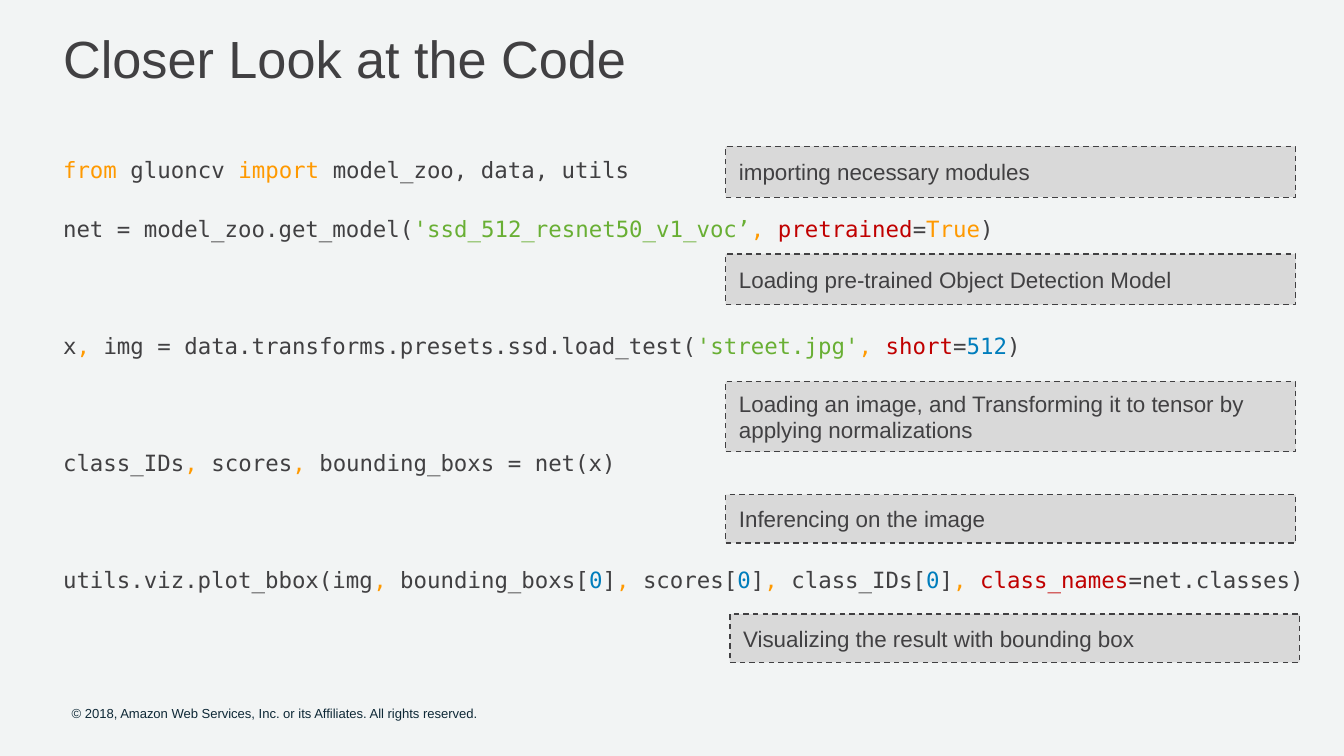
from typing import NamedTuple

from lxml import etree
from pptx import Presentation
from pptx.dml.color import RGBColor
from pptx.enum import dml, shapes, text
from pptx.oxml import ns
from pptx.util import Pt

BACKGROUND = RGBColor(0xF2, 0xF4, 0xF4)
INK = RGBColor(0x41, 0x40, 0x42)
FOOTER_INK = RGBColor(0x0E, 0x28, 0x36)
NOTE_FILL = RGBColor(0xD9, 0xD9, 0xD9)
ORANGE = RGBColor(0xFF, 0x99, 0x00)
GREEN = RGBColor(0x69, 0xAF, 0x34)
RED = RGBColor(0xC0, 0x00, 0x00)
BLUE = RGBColor(0x00, 0x7D, 0xBC)

SANS = "Arial"
MONO = "DejaVu Sans Mono"
NOTE_WIDTH = 305.3


class Token(NamedTuple):
    text: str
    color: RGBColor = INK


class CodeLine(NamedTuple):
    space_before: float
    tokens: list[Token]


class Note(NamedTuple):
    top: float
    height: float
    text: str
    left: float = 388.8


COMMA = Token(", ", ORANGE)
ZERO = Token("0", BLUE)

CODE = [
    CodeLine(0, [
        Token("from ", ORANGE), Token("gluoncv "), Token("import ", ORANGE),
        Token("model_zoo, data, utils"),
    ]),
    CodeLine(17.2, [
        Token("net = model_zoo.get_model("),
        Token("'ssd_512_resnet50_v1_voc’", GREEN), COMMA,
        Token("pretrained", RED), Token("="), Token("True", ORANGE), Token(")"),
    ]),
    CodeLine(48.4, [
        Token("x"), COMMA, Token("img = data.transforms.presets.ssd.load_test("),
        Token("'street.jpg'", GREEN), COMMA,
        Token("short", RED), Token("="), Token("512", BLUE), Token(")"),
    ]),
    CodeLine(48.4, [
        Token("class_IDs"), COMMA, Token("scores"), COMMA,
        Token("bounding_boxs = net(x)"),
    ]),
    CodeLine(48.4, [
        Token("utils.viz.plot_bbox(img"), COMMA,
        Token("bounding_boxs["), ZERO, Token("]"), COMMA,
        Token("scores["), ZERO, Token("]"), COMMA,
        Token("class_IDs["), ZERO, Token("]"), COMMA,
        Token("class_names", RED), Token("=net.classes)"),
    ]),
]

NOTES = [
    Note(78.5, 27.2, "importing necessary modules"),
    Note(136, 27.2, "Loading pre-trained Object Detection Model"),
    Note(204.4, 37.6,
         "Loading an image, and Transforming it to tensor by applying normalizations"),
    Note(265, 25.9, "Inferencing on the image"),
    Note(329, 25.9, "Visualizing the result with bounding box", left=391),
]


def place(sp, left: float, top: float, width: float, height: float) -> None:
    sp.left, sp.top, sp.width, sp.height = map(Pt, (left, top, width, height))


def style(r, size: float, color: RGBColor, name: str = SANS) -> None:
    r.font.size = Pt(size)
    r.font.name = name
    r.font.color.rgb = color


def fill_title(sp) -> None:
    place(sp, 26.6, 9.4, 645.8, 43.2)
    tf = sp.text_frame
    tf.text = "Closer Look at the Code"
    tf.auto_size = text.MSO_AUTO_SIZE.NONE
    tf.vertical_anchor = text.MSO_ANCHOR.MIDDLE
    p = tf.paragraphs[0]
    p.alignment = text.PP_ALIGN.LEFT
    style(p.runs[0], 28, INK)


def fill_code(sp, lines: list[CodeLine]) -> None:
    place(sp, 26.6, 79.9, 704.2, 286.6)
    tf = sp.text_frame
    tf.auto_size = text.MSO_AUTO_SIZE.NONE
    for i, line in enumerate(lines):
        p = tf.add_paragraph() if i else tf.paragraphs[0]
        p.space_before = Pt(line.space_before)
        props = p._p.get_or_add_pPr()
        props.set("marL", "0")
        props.set("indent", "0")
        etree.SubElement(props, ns.qn("a:buNone"))
        for token in line.tokens:
            r = p.add_run()
            r.text = token.text
            style(r, 12, token.color, MONO)


def add_note(s, note: Note) -> None:
    sp = s.shapes.add_shape(
        shapes.MSO_SHAPE.RECTANGLE,
        Pt(note.left), Pt(note.top), Pt(NOTE_WIDTH), Pt(note.height))
    sp.shadow.inherit = False
    sp.fill.solid()
    sp.fill.fore_color.rgb = NOTE_FILL
    sp.line.color.rgb = INK
    sp.line.width = Pt(0.75)
    sp.line.dash_style = dml.MSO_LINE.DASH
    tf = sp.text_frame
    tf.word_wrap = True
    tf.vertical_anchor = text.MSO_ANCHOR.MIDDLE
    tf.text = note.text
    p = tf.paragraphs[0]
    p.alignment = text.PP_ALIGN.LEFT
    style(p.runs[0], 12, INK)


def add_copyright(s) -> None:
    sp = s.shapes.add_textbox(Pt(38.4), Pt(378), Pt(238.3), Pt(8.6))
    tf = sp.text_frame
    tf.margin_left = tf.margin_right = tf.margin_top = tf.margin_bottom = 0
    tf.word_wrap = False
    tf.text = ("© 2018, Amazon Web Services, Inc. or its Affiliates. "
               "All rights reserved.")
    style(tf.paragraphs[0].runs[0], 7, FOOTER_INK)


def main() -> None:
    prs = Presentation()
    prs.slide_width, prs.slide_height = Pt(720), Pt(405)
    s = prs.slides.add_slide(prs.slide_layouts[1])
    s.background.fill.solid()
    s.background.fill.fore_color.rgb = BACKGROUND
    fill_title(s.shapes.title)
    fill_code(s.placeholders[1], CODE)
    for note in NOTES:
        add_note(s, note)
    add_copyright(s)
    prs.save("out.pptx")


if __name__ == "__main__":
    main()
